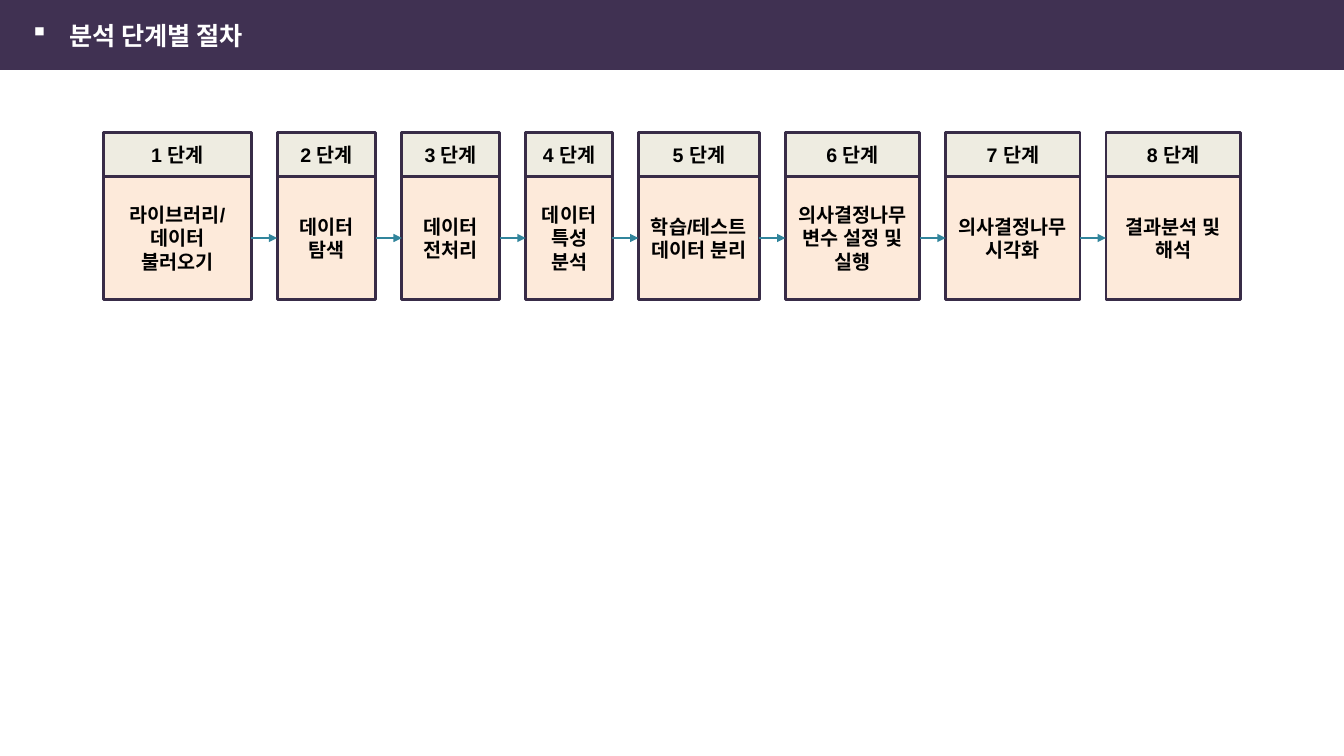
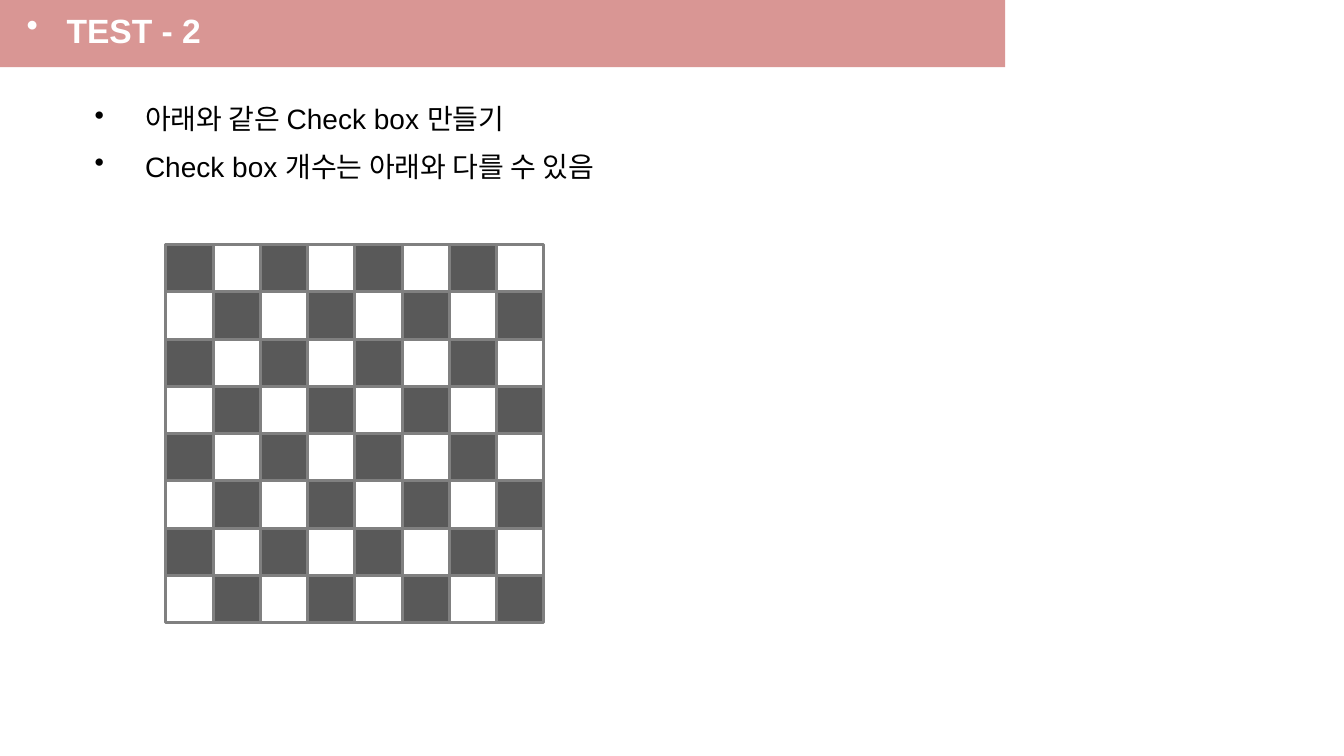
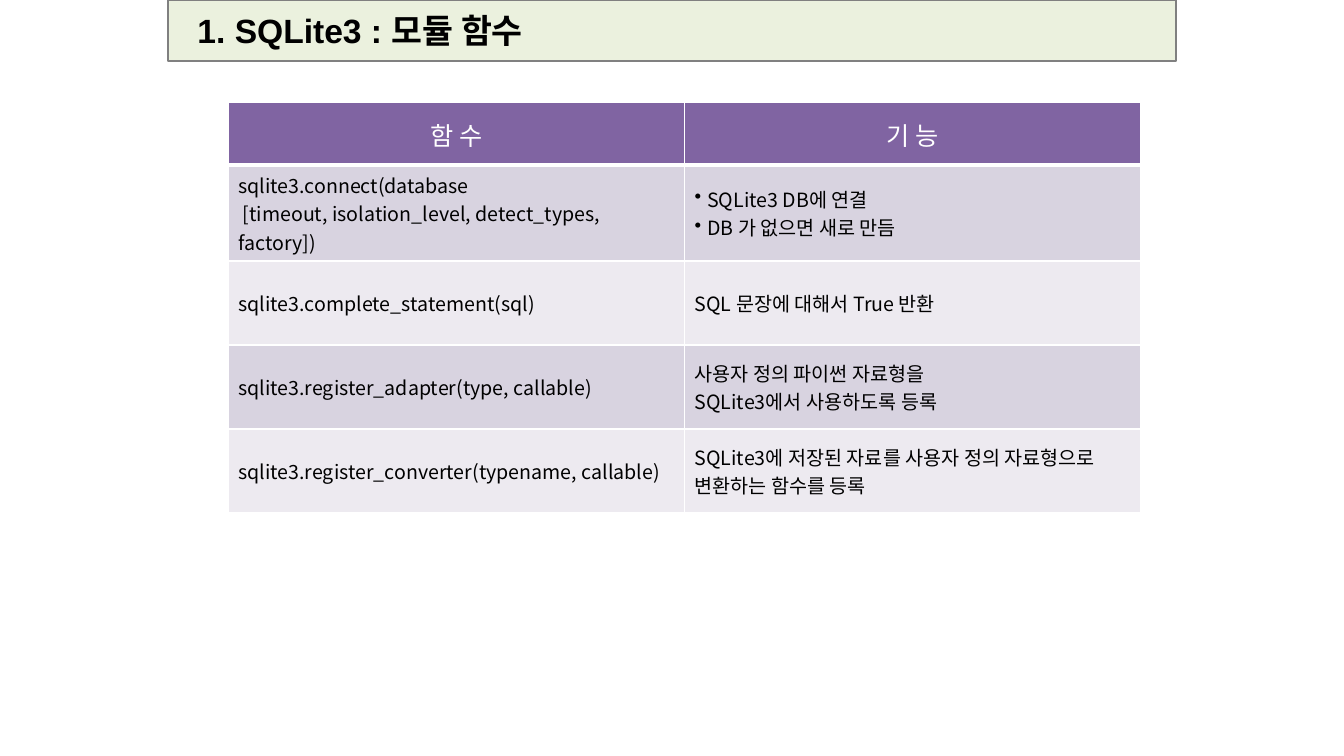
from lxml import etree
from pptx import Presentation
from pptx.dml.color import RGBColor
from pptx.enum import shapes, text
from pptx.oxml import ns
from pptx.util import Pt

COLORS = {
    "plum": "403152", "outline": "382C47", "peach": "FDEADA", "cream": "EEECE1",
    "teal": "31859C", "rose": "D99694", "dark": "595959", "gray": "808080",
    "sage": "EBF1DE", "purple": "8064A2", "band_dark": "D8D3E0",
    "band_light": "EDEAF0", "white": "FFFFFF", "black": "000000",
}
RGB = {name: RGBColor.from_string(value) for name, value in COLORS.items()}
KOREAN = "Noto Sans CJK KR"
CENTER = text.PP_ALIGN.CENTER
MIDDLE = text.MSO_ANCHOR.MIDDLE


def add_box(page, place, fill=None, line=None, weight=1):
    box = page.shapes.add_shape(shapes.MSO_SHAPE.RECTANGLE, *map(Pt, place))
    box.shadow.inherit = False
    if fill:
        box.fill.solid()
        box.fill.fore_color.rgb = RGB[fill]
    else:
        box.fill.background()
    if line:
        box.line.color.rgb = RGB[line]
        box.line.width = Pt(weight)
    else:
        box.line.fill.background()
    return box


def write(frame, lines, color="black", bullet=None, margin=0, indent=0,
          align=text.PP_ALIGN.LEFT, spacing=None, **font):
    """Put one paragraph per line in the frame; font holds font attributes."""
    for number, line in enumerate(lines):
        para = frame.add_paragraph() if number else frame.paragraphs[0]
        para.alignment = align
        if spacing:
            para.line_spacing = Pt(spacing)
        props = para._p.get_or_add_pPr()
        props.set("marL", str(Pt(margin)))
        props.set("indent", str(Pt(indent)))
        if bullet:
            etree.SubElement(props, ns.qn("a:buChar"), char=bullet)
        span = para.add_run()
        span.text = line
        for name, value in font.items():
            setattr(span.font, name, value)
        span.font.color.rgb = RGB[color]
        if font["name"] == KOREAN:
            etree.SubElement(span._r.get_or_add_rPr(), ns.qn("a:ea"), typeface=KOREAN)


deck = Presentation()
deck.slide_width, deck.slide_height = Pt(960), Pt(540)
steps_page, board_page, table_page = [
    deck.slides.add_slide(deck.slide_layouts[6]) for _ in range(3)]

heading = {"name": "Arial", "size": Pt(24), "bold": True}

# Analysis steps
band = add_box(steps_page, (0, 0, 960, 50), "plum")
band.text_frame.vertical_anchor = MIDDLE
write(band.text_frame, ["분석 단계별 절차"], "white", "▪", 42.5, -28,
      name=KOREAN, size=Pt(18), bold=True)

STEPS = [
    (105.5, ["라이브러리/", "데이터", "불러오기"]),
    (70.5, ["데이터", "탐색"]),
    (70, ["데이터", "전처리"]),
    (62, ["데이터", "특성", "분석"]),
    (86.5, ["학습/테스트", "데이터 분리"]),
    (96, ["의사결정나무", "변수 설정 및", "실행"]),
    (96, ["의사결정나무", "시각화"]),
    (96, ["결과분석 및", "해석"]),
]
STEP_GAP = 18.5
left, previous = 74, None
for number, (width, lines) in enumerate(STEPS, 1):
    body = add_box(steps_page, (left, 126, width, 88), "peach", "outline", 2)
    label = add_box(steps_page, (left, 94.5, width, 31.5), "cream", "outline", 2)
    for box, content in ((body, lines), (label, [f"{number} 단계"])):
        frame = box.text_frame
        frame.margin_left = frame.margin_right = 0
        frame.vertical_anchor = MIDDLE
        write(frame, content, align=CENTER, name="Arial", size=Pt(14), bold=True)
    if previous:
        arrow = steps_page.shapes.add_connector(shapes.MSO_CONNECTOR.STRAIGHT, 0, 0, 0, 0)
        arrow.begin_connect(previous, 3)
        arrow.end_connect(body, 1)
        arrow.line.color.rgb = RGB["teal"]
        arrow.line.width = Pt(1.5)
        etree.SubElement(arrow.line._get_or_add_ln(), ns.qn("a:tailEnd"), type="triangle")
        etree.SubElement(arrow._element.spPr, ns.qn("a:effectLst"))
    previous = body
    left += width + STEP_GAP

# Checkerboard
add_box(board_page, (-2, -2, 720, 50), "rose")
title = board_page.shapes.add_textbox(Pt(12), Pt(3.5), Pt(140), Pt(36))
title.text_frame.word_wrap = False
write(title.text_frame, ["TEST - 2"], "white", "•", 28.5, -28.5, **heading)

task = board_page.shapes.add_textbox(Pt(60.5), Pt(59), Pt(675), Pt(73))
task.text_frame.word_wrap = True
write(task.text_frame, ["아래와 같은 Check box 만들기", "Check box 개수는 아래와 다를 수 있음"],
      bullet="•", margin=36, indent=-36, spacing=34, name="Arial", size=Pt(20))

SQUARE = 33.75
for row in range(8):
    for column in range(8):
        place = (118.5 + column * SQUARE, 174.75 + row * SQUARE, SQUARE, SQUARE)
        add_box(board_page, place, None if (row + column) % 2 else "dark", "gray", 2)

# Module functions
band = add_box(table_page, (120, 0, 720, 43.5), "sage", "gray")
band.text_frame.vertical_anchor = MIDDLE
write(band.text_frame, ["1. SQLite3 : 모듈 함수"], margin=14, **heading)

FUNCTIONS = [
    (["함 수"], ["기 능"]),
    (["sqlite3.connect(database", " [timeout, isolation_level, detect_types, factory])"],
     ["SQLite3 DB에 연결", "DB 가 없으면 새로 만듬"]),
    (["sqlite3.complete_statement(sql)"], ["SQL 문장에 대해서 True 반환"]),
    (["sqlite3.register_adapter(type, callable)"],
     ["사용자 정의 파이썬 자료형을", "SQLite3에서 사용하도록 등록"]),
    (["sqlite3.register_converter(typename, callable)"],
     ["SQLite3에 저장된 자료를 사용자 정의 자료형으로 변환하는 함수를 등록"]),
]
HEADER_STYLE = {"color": "white", "align": CENTER, "size": Pt(18)}
BODY_STYLE = {"size": Pt(14)}
BULLET_STYLE = BODY_STYLE | {"bullet": "•", "margin": 9, "indent": -9}

table = table_page.shapes.add_table(
    len(FUNCTIONS), 2, Pt(163), Pt(73.5), Pt(652), Pt(284.5)).table
for row, contents in enumerate(FUNCTIONS):
    table.rows[row].height = Pt(60 if row else 44.5)
    for column, lines in enumerate(contents):
        cell = table.cell(row, column)
        cell.vertical_anchor = MIDDLE
        for side in ("lnL", "lnR", "lnT", "lnB"):
            weight = 3 if row == 0 and side == "lnB" else 1
            border = etree.SubElement(cell._tc.get_or_add_tcPr(), ns.qn(f"a:{side}"),
                                      w=str(Pt(weight)))
            paint = etree.SubElement(border, ns.qn("a:solidFill"))
            etree.SubElement(paint, ns.qn("a:srgbClr"), val=COLORS["white"])
        cell.fill.solid()
        stripe = "band_dark" if row % 2 else "band_light"
        cell.fill.fore_color.rgb = RGB[stripe if row else "purple"]
        style = HEADER_STYLE if row == 0 else BODY_STYLE
        if (row, column) == (1, 1):
            style = BULLET_STYLE
        write(cell.text_frame, lines, name=KOREAN, bold=False, **style)

deck.save("out.pptx")
